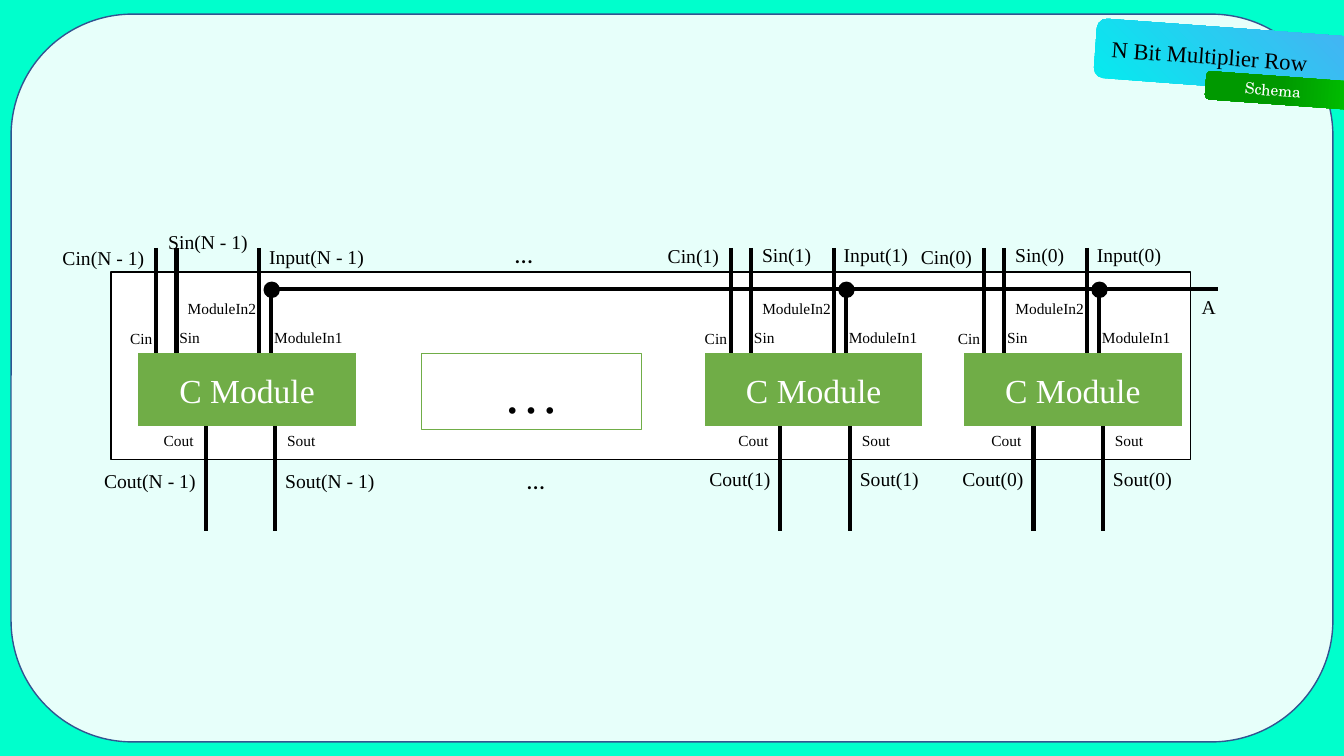
from lxml import etree
from pptx import Presentation
from pptx.dml.color import RGBColor
from pptx.enum.shapes import MSO_CONNECTOR, MSO_SHAPE
from pptx.enum.text import MSO_ANCHOR, MSO_AUTO_SIZE, PP_ALIGN
from pptx.oxml import parse_xml
from pptx.oxml.ns import nsdecls, qn
from pptx.util import Inches, Pt

MINT = RGBColor(0x00, 0xFF, 0xCC)
PALE_MINT = RGBColor(0xE7, 0xFF, 0xFA)
NAVY = RGBColor(0x32, 0x54, 0x91)
GREEN = RGBColor(0x70, 0xAD, 0x47)
BLACK = RGBColor(0, 0, 0)
WHITE = RGBColor(0xFF, 0xFF, 0xFF)
SERIF = "Times New Roman"
LEFT, CENTER, RIGHT = PP_ALIGN.LEFT, PP_ALIGN.CENTER, PP_ALIGN.RIGHT

# Rows of the schema, in inches
INPUT_TOP, BUS, MODULE_TOP = 2.46, 2.87, 3.5
MODULE_BOTTOM, OUTPUT_BOTTOM = 4.23, 5.27
MODULE_WIDTH, MODULE_HEIGHT = 2.18, 0.75

# Wire columns, counted from the Cin wire of a stage
SIN, MODULE_IN2, MODULE_IN1, COUT, SOUT = 0.2, 1.02, 1.14, 0.49, 1.18

# Index, Cin wire, module left, top of Cin, Sin, Input and output labels
STAGES = [
    ("N - 1", 1.55, 1.36, 2.39, 2.23, 2.38, 4.6),
    ("1", 7.25, 6.98, 2.37, 2.36, 2.36, 4.58),
    ("0", 9.76, 9.55, 2.38, 2.36, 2.36, 4.58),
]


def write(box, text, size, color=BLACK, align=CENTER, font=SERIF):
    frame = box.text_frame
    frame.text = text
    frame.word_wrap = True
    para = frame.paragraphs[0]
    para.alignment = align
    para.font.size, para.font.name = Pt(size), font
    para.font.color.rgb = color
    return para


def add_box(page, kind, left, top, width, height, fill=None, line=None, weight=1):
    box = page.shapes.add_shape(kind, *map(Inches, (left, top, width, height)))
    box.shadow.inherit = False
    if fill is not None:
        box.fill.solid()
        box.fill.fore_color.rgb = fill
    if line is None:
        box.line.fill.background()
    else:
        box.line.color.rgb = line
        box.line.width = Pt(weight)
    box.text_frame.vertical_anchor = MSO_ANCHOR.MIDDLE
    return box


def add_label(page, text, edge, top, size, align=LEFT, width=1.2):
    """Place a label whose box starts (or, if right-aligned, ends) at edge."""
    left = edge - width if align == RIGHT else edge
    height = 0.34 if size > 11 else 0.29
    label = page.shapes.add_textbox(*map(Inches, (left, top, width, height)))
    if align == LEFT:
        label.text_frame.margin_right = 0
    else:
        label.text_frame.margin_left = 0
    write(label, text, size, align=align)


def add_wire(page, start_x, start_y, end_x, end_y):
    wire = page.shapes.add_connector(
        MSO_CONNECTOR.STRAIGHT, *map(Inches, (start_x, start_y, end_x, end_y)))
    wire.line.color.rgb = BLACK
    wire.line.width = Pt(3)
    etree.SubElement(wire.element.spPr, qn("a:effectLst"))


def add_ribbon(page, left, top, width, height, stops, direction):
    ribbon = add_box(page, MSO_SHAPE.FLOWCHART_ALTERNATE_PROCESS,
                     left, top, width, height, fill=WHITE)
    ribbon.rotation = 94.2
    colors = "".join(f'<a:gs pos="{share * 1000}"><a:srgbClr val="{color}"/></a:gs>'
                     for share, color in stops)
    gradient = parse_xml(f'<a:gradFill {nsdecls("a")} rotWithShape="1">'
                         f'<a:gsLst>{colors}</a:gsLst>{direction}</a:gradFill>')
    properties = ribbon.element.spPr
    properties.replace(properties.find(qn("a:solidFill")), gradient)


def add_heading(page):
    add_ribbon(page, 11.95, -0.81, 0.59, 2.77,
               [(0, RGBColor(0x65, 0x95, 0xF5)), (13, RGBColor(0x43, 0xB4, 0xF3)),
                (100, RGBColor(0x02, 0xEE, 0xEE))],
               '<a:path path="circle"><a:fillToRect l="100000" b="100000"/></a:path>')
    add_ribbon(page, 12.65, 0.07, 0.28, 1.67,
               [(0, RGBColor(0x00, 0xCC, 0x00)), (55, RGBColor(0x00, 0x99, 0x00))],
               '<a:lin ang="5400000" scaled="0"/>')
    tag = page.shapes.add_textbox(*map(Inches, (12.03, 0.75, 1.19, 0.29)))
    tag.rotation = 4.4
    write(tag, "Schema", 11, WHITE, font="TeX Gyre Schola")

    title = page.shapes.title
    title.left, title.top, title.width, title.height = map(
        Inches, (10.89, 0.27, 2.21, 0.59))
    title.rotation = 4
    write(title, "N Bit Multiplier Row", 16.2).line_spacing = 0.9
    title.text_frame.auto_size = MSO_AUTO_SIZE.NONE
    title.text_frame.vertical_anchor = MSO_ANCHOR.MIDDLE
    title.element.getparent().append(title.element)  # in front of the ribbons


def add_stage(page, index, cin, module_left, cin_top, sin_top, input_top, output_top):
    module = add_box(page, MSO_SHAPE.RECTANGLE, module_left, MODULE_TOP - 0.01,
                     MODULE_WIDTH, MODULE_HEIGHT, GREEN, WHITE, 1.5)
    write(module, "C Module", 24, WHITE)

    # Wires into and out of the module
    for column in (0, SIN, MODULE_IN2):
        add_wire(page, cin + column, INPUT_TOP, cin + column, MODULE_TOP)
    for column in (COUT, SOUT):
        add_wire(page, cin + column, MODULE_BOTTOM, cin + column, OUTPUT_BOTTOM)
    add_wire(page, cin + MODULE_IN1, BUS, cin + MODULE_IN1, MODULE_TOP)
    add_box(page, MSO_SHAPE.OVAL, cin + MODULE_IN1 - 0.07, BUS - 0.07,
            0.15, 0.15, BLACK, BLACK)

    # Port names inside the row
    for text, offset, top, align in (
            ("Cin", 0.06, 3.22, RIGHT), ("Sin", 0.13, 3.21, LEFT),
            ("ModuleIn2", 1.09, 2.92, RIGHT), ("ModuleIn1", 1.07, 3.21, LEFT),
            ("Cout", 0.47, 4.23, RIGHT), ("Sout", 1.2, 4.23, LEFT)):
        add_label(page, text, cin + offset, top, 11, align)

    # Signal names outside the row
    sin_offset = 0.02 if sin_top < cin_top - 0.1 else 0.21
    for text, offset, top, align in (
            ("Cin", -0.02, cin_top, RIGHT), ("Sin", sin_offset, sin_top, LEFT),
            ("Input", MODULE_IN2, input_top, LEFT),
            ("Cout", COUT, output_top, RIGHT), ("Sout", SOUT, output_top, LEFT)):
        add_label(page, f"{text}({index})", cin + offset, top, 14, align)


def add_omitted_stages(page):
    gap = add_box(page, MSO_SHAPE.RECTANGLE, 4.18, 3.51,
                  MODULE_WIDTH, MODULE_HEIGHT, WHITE, GREEN)
    write(gap, "…", 40)
    for left, top in ((4.58, 2.38), (4.7, 4.62)):
        dots = page.shapes.add_textbox(*map(Inches, (left, top, 1.23, 0.27)))
        dots.text_frame.vertical_anchor = MSO_ANCHOR.MIDDLE
        write(dots, "…", 18, font="Calibri")


def main():
    deck = Presentation()
    deck.slide_width, deck.slide_height = Inches(13.33), Inches(7.5)
    page = deck.slides.add_slide(deck.slide_layouts[5])
    page.background.fill.solid()
    page.background.fill.fore_color.rgb = MINT

    # Panel and heading
    add_box(page, MSO_SHAPE.ROUNDED_RECTANGLE, 0.11, 0.14, 13.11, 7.22, PALE_MINT, NAVY)
    add_heading(page)

    # Multiplier row
    add_box(page, MSO_SHAPE.RECTANGLE, 1.1, 2.7, 10.71, 1.86, WHITE, BLACK)
    add_omitted_stages(page)
    for stage in STAGES:
        add_stage(page, *stage)

    # Shared input A
    add_wire(page, STAGES[0][1] + MODULE_IN1, BUS, 12.08, BUS)
    add_label(page, "A", 11.82, 2.88, 14)

    deck.save("out.pptx")


main()
